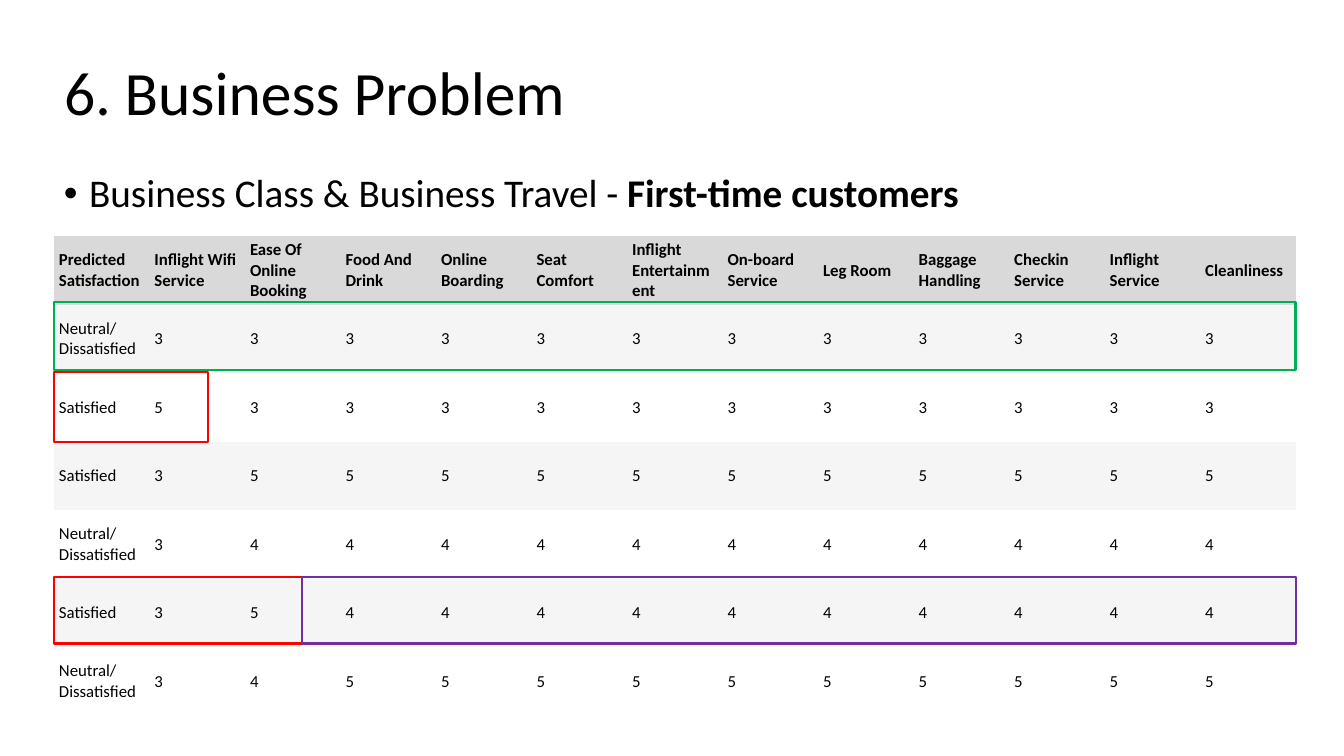
from lxml import etree
from pptx import Presentation
from pptx import util as u
from pptx.dml.color import RGBColor
from pptx.enum import shapes, text
from pptx.oxml.ns import qn

PX = 914400 / 100.8
FONT = "Calibri"
NO_STYLE = "{2D5ABB26-0587-4C30-8999-92F81FD0307C}"
BLACK = RGBColor(0x00, 0x00, 0x00)
WHITE = RGBColor(0xFF, 0xFF, 0xFF)
HEADER = RGBColor(0xD9, 0xD9, 0xD9)
BAND = RGBColor(0xF5, 0xF5, 0xF5)
GREEN = RGBColor(0x00, 0xB0, 0x50)
RED = RGBColor(0xFF, 0x00, 0x00)
PURPLE = RGBColor(0x70, 0x30, 0xA0)

HEADS = [
    "Predicted Satisfaction", "Inflight Wifi Service", "Ease Of Online Booking",
    "Food And Drink", "Online Boarding", "Seat Comfort", "Inflight Entertainment",
    "On-board Service", "Leg Room", "Baggage Handling", "Checkin Service",
    "Inflight Service", "Cleanliness",
]
NEUTRAL, HAPPY = "Neutral/\nDissatisfied", "Satisfied"
SCORES = [
    (NEUTRAL, 3, 3, 3),
    (HAPPY, 5, 3, 3),
    (HAPPY, 3, 5, 5),
    (NEUTRAL, 3, 4, 4),
    (HAPPY, 3, 5, 4),
    (NEUTRAL, 3, 4, 5),
]
MARKS = [
    (0, 66, 1242, 68, GREEN),
    (0, 341, 248, 67, RED),
    (0, 136, 154, 70, RED),
    (248, 341, 994, 67, PURPLE),
]


def px(count):
    """Turn px into EMU."""
    return u.Emu(round(count * PX))


def style(para, size, bold=None):
    """Set the font of a paragraph."""
    font = para.font
    font.name, font.size, font.bold = FONT, u.Pt(size), bold
    font.color.rgb = BLACK


def add_title(slide, left, top, width, height):
    """Place and format the title."""
    title = slide.shapes.title
    title.left, title.top, title.width, title.height = map(px, (left, top, width, height))
    frame = title.text_frame
    frame.text = "6. Business Problem"
    frame.auto_size = text.MSO_AUTO_SIZE.NONE
    frame.vertical_anchor = text.MSO_ANCHOR.MIDDLE
    para = frame.paragraphs[0]
    para.alignment, para.line_spacing = text.PP_ALIGN.LEFT, 0.9
    style(para, 44)


def add_point(slide, left, top, width, height):
    """Add the bulleted line above the table."""
    frame = slide.shapes.add_textbox(*map(px, (left, top, width, height))).text_frame
    frame.word_wrap = True
    para = frame.paragraphs[0]
    para.line_spacing, para.space_before = 0.9, u.Pt(10)
    style(para, 28)
    para.add_run().text = "Business Class & Business Travel - "
    strong = para.add_run()
    strong.text, strong.font.bold = "First-time customers", True
    props = para._p.get_or_add_pPr()
    props.set("marL", str(u.Inches(0.25)))
    props.set("indent", str(-u.Inches(0.25)))
    font = etree.Element(qn("a:buFont"), typeface="Arial")
    mark = etree.Element(qn("a:buChar"), char="•")
    props.find(qn("a:defRPr")).addprevious(font)
    font.addnext(mark)


def fill_cell(cell, words, color, bold):
    """Write and format one table cell."""
    cell.fill.solid()
    cell.fill.fore_color.rgb = color
    cell.vertical_anchor = text.MSO_ANCHOR.MIDDLE
    cell.margin_left = cell.margin_right = px(5)
    cell.margin_top = cell.margin_bottom = px(2)
    cell.text_frame.text = str(words)
    for para in cell.text_frame.paragraphs:
        style(para, 12, bold)


def add_scores(slide, left, top, width, height):
    """Add the table of scores."""
    rows = [HEADS]
    for label, wifi, booking, rest in SCORES:
        rows.append([label, wifi, booking] + [rest] * (len(HEADS) - 3))
    frame = slide.shapes.add_table(
        len(rows), len(HEADS), *map(px, (left, top, width, height)))
    for tag in frame._element.iter(qn("a:tableStyleId")):
        tag.text = NO_STYLE
    table = frame.table
    for col in table.columns:
        col.width = px(width / len(HEADS))
    for r, row in enumerate(rows):
        table.rows[r].height = px(height / len(rows))
        color = HEADER if r == 0 else BAND if r % 2 else WHITE
        for c, words in enumerate(row):
            fill_cell(table.cell(r, c), words, color, r == 0)


def add_marks(slide, left, top):
    """Outline the rows of interest, measured from the table corner."""
    for x, y, width, height, color in MARKS:
        box = slide.shapes.add_shape(
            shapes.MSO_SHAPE.RECTANGLE, *map(px, (left + x, top + y, width, height)))
        box.shadow.inherit = False
        box.fill.background()
        box.line.color.rgb = color
        box.line.width = u.Pt(2)


def main():
    """Build and save the slide."""
    deck = Presentation()
    deck.slide_width, deck.slide_height = px(1344), px(756)
    slide = deck.slides.add_slide(deck.slide_layouts[5])
    add_title(slide, 54, 23, 1159, 146)
    add_point(slide, 54, 169, 1124, 67)
    add_scores(slide, 54, 236, 1242, 480)
    add_marks(slide, 54, 236)
    deck.save("out.pptx")


if __name__ == "__main__":
    main()
